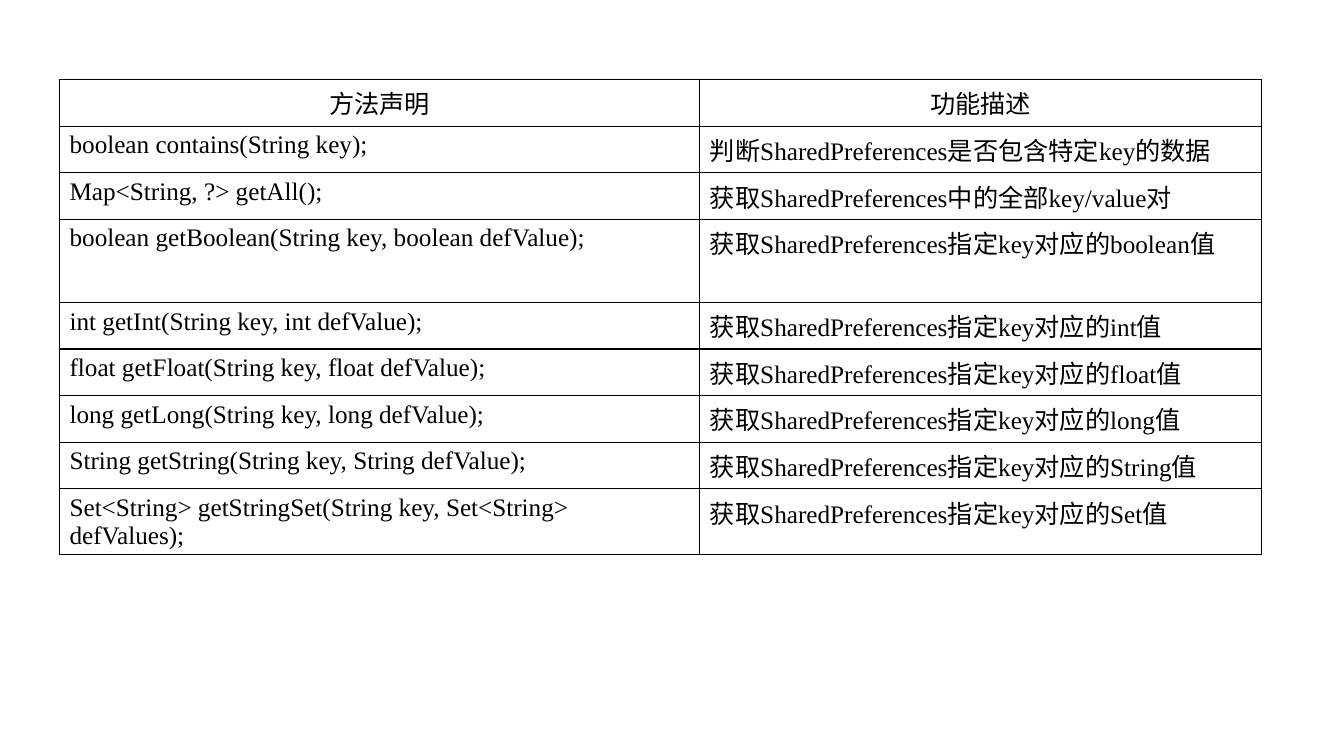
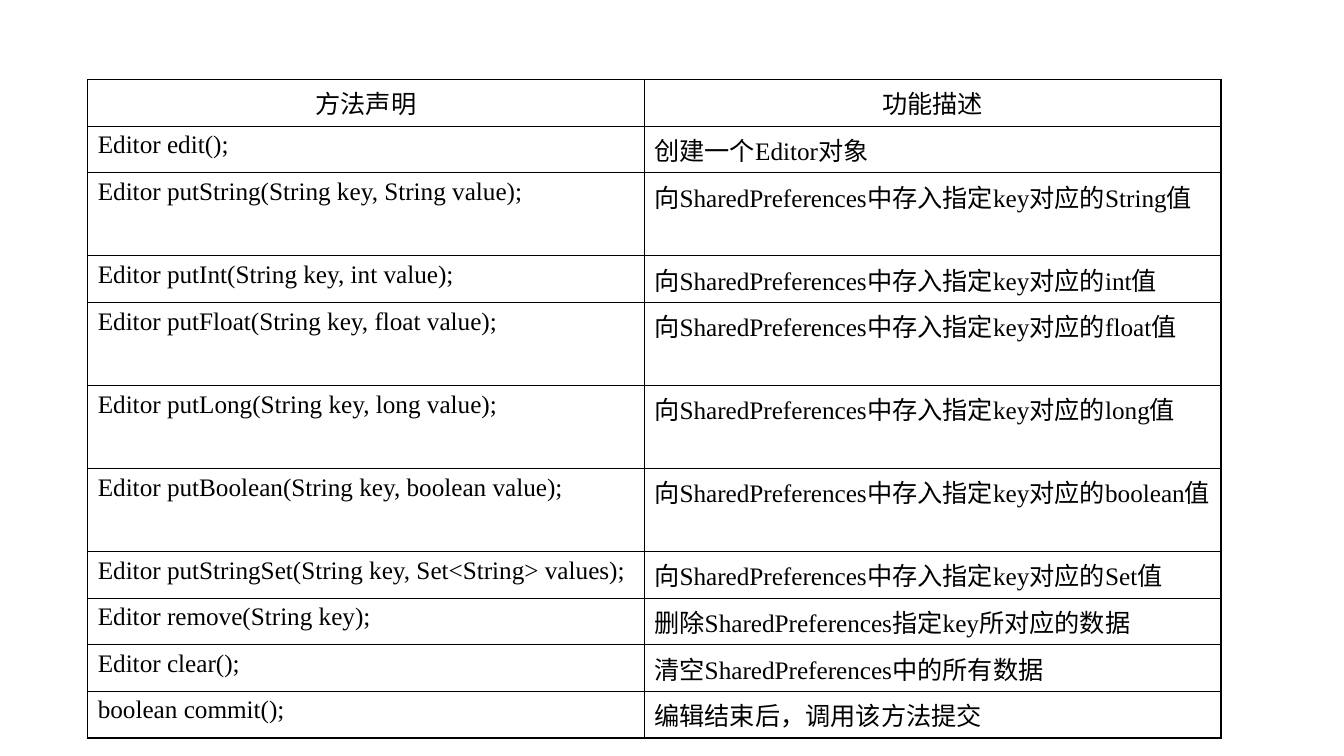
from lxml.etree import SubElement
from pptx import Presentation
from pptx.dml.color import RGBColor
from pptx.enum.text import PP_ALIGN as Align
from pptx.oxml.ns import qn
from pptx.util import Inches, Pt

BLACK = RGBColor(0, 0, 0)
FONT = "Times New Roman"
TEXT_SIZE = Pt(18)
BORDER_WIDTH = Pt(1)
SLIDE_WIDTH, SLIDE_HEIGHT = Inches(13.33), Inches(7.5)
TABLE_TOP = Inches(0.79)
ROW_HEIGHT = Inches(0.41)
HEADER = ("方法声明", "功能描述")

READ_METHODS = [
    ("boolean contains(String key);", "判断SharedPreferences是否包含特定key的数据"),
    ("Map<String, ?> getAll();", "获取SharedPreferences中的全部key/value对"),
    ("boolean getBoolean(String key, boolean defValue);",
     "获取SharedPreferences指定key对应的boolean值"),
    ("int getInt(String key, int defValue);",
     "获取SharedPreferences指定key对应的int值"),
    ("float getFloat(String key, float defValue);",
     "获取SharedPreferences指定key对应的float值"),
    ("long getLong(String key, long defValue);",
     "获取SharedPreferences指定key对应的long值"),
    ("String getString(String key, String defValue);",
     "获取SharedPreferences指定key对应的String值"),
    ("Set<String> getStringSet(String key, Set<String> defValues);",
     "获取SharedPreferences指定key对应的Set值"),
]

EDITOR_METHODS = [
    ("Editor edit();", "创建一个Editor对象"),
    ("Editor putString(String key, String value);",
     "向SharedPreferences中存入指定key对应的String值"),
    ("Editor putInt(String key, int value);",
     "向SharedPreferences中存入指定key对应的int值"),
    ("Editor putFloat(String key, float value);",
     "向SharedPreferences中存入指定key对应的float值"),
    ("Editor putLong(String key, long value);",
     "向SharedPreferences中存入指定key对应的long值"),
    ("Editor putBoolean(String key, boolean value);",
     "向SharedPreferences中存入指定key对应的boolean值"),
    ("Editor putStringSet(String key, Set<String> values);",
     "向SharedPreferences中存入指定key对应的Set值"),
    ("Editor remove(String key);", "删除SharedPreferences指定key所对应的数据"),
    ("Editor clear();", "清空SharedPreferences中的所有数据"),
    ("boolean commit();", "编辑结束后，调用该方法提交"),
]


def style_cell(cell):
    """Give the cell four thin black borders and no fill."""
    properties = cell._tc.get_or_add_tcPr()
    for side in ("a:lnL", "a:lnR", "a:lnT", "a:lnB"):
        border = SubElement(properties, qn(side), w=str(BORDER_WIDTH))
        fill = SubElement(border, qn("a:solidFill"))
        SubElement(fill, qn("a:srgbClr"), val=str(BLACK))
    cell.fill.background()


def write_cell(cell, text, align):
    paragraph = cell.text_frame.paragraphs[0]
    paragraph.alignment = align
    run = paragraph.add_run()
    run.text = text
    run.font.name = FONT
    run.font.size = TEXT_SIZE
    run.font.bold = False
    run.font.color.rgb = BLACK


def add_method_slide(deck, methods, left, column_widths):
    slide = deck.slides.add_slide(deck.slide_layouts[6])
    rows = [HEADER, *methods]
    widths = [Inches(width) for width in column_widths]
    table = slide.shapes.add_table(
        len(rows), len(HEADER), Inches(left), TABLE_TOP,
        sum(widths), ROW_HEIGHT * len(rows)).table
    table.first_row = table.horz_banding = False
    for column, width in zip(table.columns, widths):
        column.width = width
    for row_index, row in enumerate(rows):
        align = Align.CENTER if row_index == 0 else Align.LEFT
        for column_index, text in enumerate(row):
            cell = table.cell(row_index, column_index)
            style_cell(cell)
            write_cell(cell, text, align)


def main():
    deck = Presentation()
    deck.slide_width, deck.slide_height = SLIDE_WIDTH, SLIDE_HEIGHT
    add_method_slide(deck, READ_METHODS, 0.59, (6.35, 5.57))
    add_method_slide(deck, EDITOR_METHODS, 0.87, (5.52, 5.72))
    deck.save("out.pptx")


if __name__ == "__main__":
    main()
